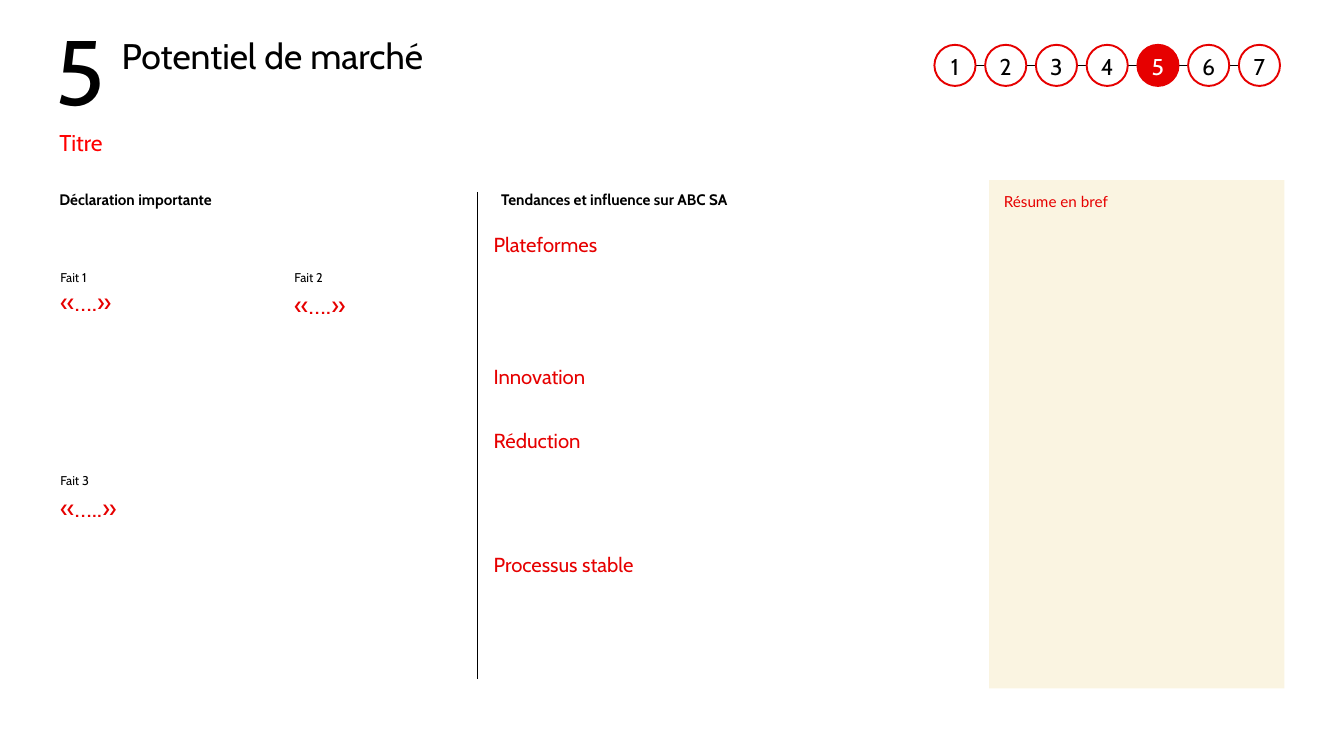
from dataclasses import dataclass

from lxml.etree import SubElement
from pptx import Presentation
from pptx.dml.color import RGBColor
from pptx.enum.shapes import MSO_CONNECTOR, MSO_SHAPE
from pptx.enum.text import MSO_ANCHOR, PP_ALIGN
from pptx.oxml.ns import qn
from pptx.util import Inches, Pt


@dataclass(frozen=True)
class Theme:
    heading_font: str = "Cabin"
    summary_font: str = "Lato"
    black: str = "000000"
    white: str = "FFFFFF"
    red: str = "E60000"
    bright_red: str = "FF0000"
    cream: str = "FAF4E1"
    chapter: int = 72
    title: int = 28
    quote: int = 20
    subtitle: int = 18
    trend: int = 16
    body: int = 12
    label: int = 10
    outline: float = 1.5
    rule: float = 0.75


THEME = Theme()
COLUMNS, ROWS = 147, 82.7
CELL = 0.1

CHAPTER = 5
CHAPTER_COUNT = 7
MARGIN = 6.5
FACT_COLUMNS = (6.6, 32.2)
FACT_ROWS = (29.5, 51.7)
TREND_COLUMN = 54
HEADING_ROW = 20.8
DIVIDER_COLUMN = 52.2
STEP_START, STEP_ROW, STEP_SIZE, STEP_PITCH = 102.2, 4.9, 4.5, 5.55

FACTS = (
    ("Fait 1", "«….»", 0, 0, 1.8),
    ("Fait 2", "«….»", 1, 0, 2.1),
    ("Fait 3", "«…..»", 0, 1, 2.1),
)
TRENDS = (
    ("Plateformes", 25.4),
    ("Innovation", 39.8),
    ("Réduction", 46.8),
    ("Processus stable", 60.4),
)


def grid(*cells):
    return [Inches(cell * CELL) for cell in cells]


def apply(target, values):
    for attribute, value in values.items():
        setattr(target, attribute, value)


def write(holder, text, size, color=THEME.black, font=THEME.heading_font, bold=False,
          spacing=1.0, align=PP_ALIGN.LEFT, anchor=MSO_ANCHOR.TOP, inset=0, top_inset=None):
    left, top = grid(inset, inset if top_inset is None else top_inset)
    frame = holder.text_frame
    apply(frame, {
        "word_wrap": True, "vertical_anchor": anchor,
        "margin_left": left, "margin_right": left,
        "margin_top": top, "margin_bottom": left,
    })
    paragraph = frame.paragraphs[0]
    apply(paragraph, {"alignment": align, "line_spacing": spacing})
    run = paragraph.add_run()
    run.text = text
    apply(run.font, {"name": font, "size": Pt(size), "bold": bold})
    run.font.color.rgb = RGBColor.from_string(color)


def add_text(slide, area, text, size, **style):
    write(slide.shapes.add_textbox(*grid(*area)), text, size, **style)


def add_panel(slide, preset, area, fill, outline=None):
    panel = slide.shapes.add_shape(preset, *grid(*area))
    panel.shadow.inherit = False
    panel.fill.solid()
    panel.fill.fore_color.rgb = RGBColor.from_string(fill)
    if outline:
        panel.line.color.rgb = RGBColor.from_string(outline)
        panel.line.width = Pt(THEME.outline)
    else:
        panel.line.fill.background()
    return panel


def add_rule(slide, *ends):
    rule = slide.shapes.add_connector(MSO_CONNECTOR.STRAIGHT, *grid(*ends))
    rule.line.color.rgb = RGBColor.from_string(THEME.black)
    rule.line.width = Pt(THEME.rule)
    SubElement(rule.element.spPr, qn("a:effectLst"))


def add_steps(slide):
    middle = STEP_ROW + STEP_SIZE / 2
    first = STEP_START + STEP_SIZE / 2
    add_rule(slide, first, middle, first + (CHAPTER_COUNT - 1) * STEP_PITCH, middle)
    for index in range(CHAPTER_COUNT):
        number = index + 1
        current = number == CHAPTER
        area = (STEP_START + index * STEP_PITCH, STEP_ROW, STEP_SIZE, STEP_SIZE)
        step = add_panel(slide, MSO_SHAPE.OVAL, area,
                         THEME.red if current else THEME.white, THEME.red)
        write(step, str(number), THEME.subtitle,
              color=THEME.white if current else THEME.black,
              align=PP_ALIGN.CENTER, anchor=MSO_ANCHOR.MIDDLE, top_inset=0.3)


def add_fact(slide, label, quote, column, row, gap):
    left, top = FACT_COLUMNS[column], FACT_ROWS[row]
    add_text(slide, (left, top, 10.2, 2.5), label, THEME.label)
    add_text(slide, (left, top + gap, 17.4, 15.2), quote, THEME.quote, color=THEME.red)


def add_summary(slide):
    summary = add_panel(slide, MSO_SHAPE.RECTANGLE, (108.2, 19.7, 32.3, 55.6), THEME.cream)
    write(summary, "Résume en bref", THEME.body, color=THEME.red,
          font=THEME.summary_font, spacing=0.9, inset=1.6)


def main():
    presentation = Presentation()
    width, height = grid(COLUMNS, ROWS)
    apply(presentation, {"slide_width": width, "slide_height": height})
    slide = presentation.slides.add_slide(presentation.slide_layouts[6])

    add_text(slide, (6.1, 1.3, 7.2, 12.3), str(CHAPTER), THEME.chapter,
             spacing=Pt(28), anchor=MSO_ANCHOR.BOTTOM)
    add_steps(slide)
    add_text(slide, (13.3, 4.2, 86.1, 5.3), "Potentiel de marché", THEME.title, spacing=0.9)
    add_summary(slide)
    add_text(slide, (MARGIN, 14.4, 133.9, 3.5), "Titre", THEME.subtitle,
             color=THEME.bright_red, spacing=0.9)

    add_rule(slide, DIVIDER_COLUMN, 21, DIVIDER_COLUMN, 74.3)
    add_text(slide, (54.8, HEADING_ROW, 47.5, 3.5), "Tendances et influence sur ABC SA",
             THEME.body, bold=True)
    add_text(slide, (MARGIN, HEADING_ROW, 41.4, 3.5), "Déclaration importante",
             THEME.body, bold=True)
    for fact in FACTS:
        add_fact(slide, *fact)
    for trend, row in TRENDS:
        add_text(slide, (TREND_COLUMN, row, 20, 2.4), trend, THEME.trend, color=THEME.red)

    presentation.save("out.pptx")


if __name__ == "__main__":
    main()
